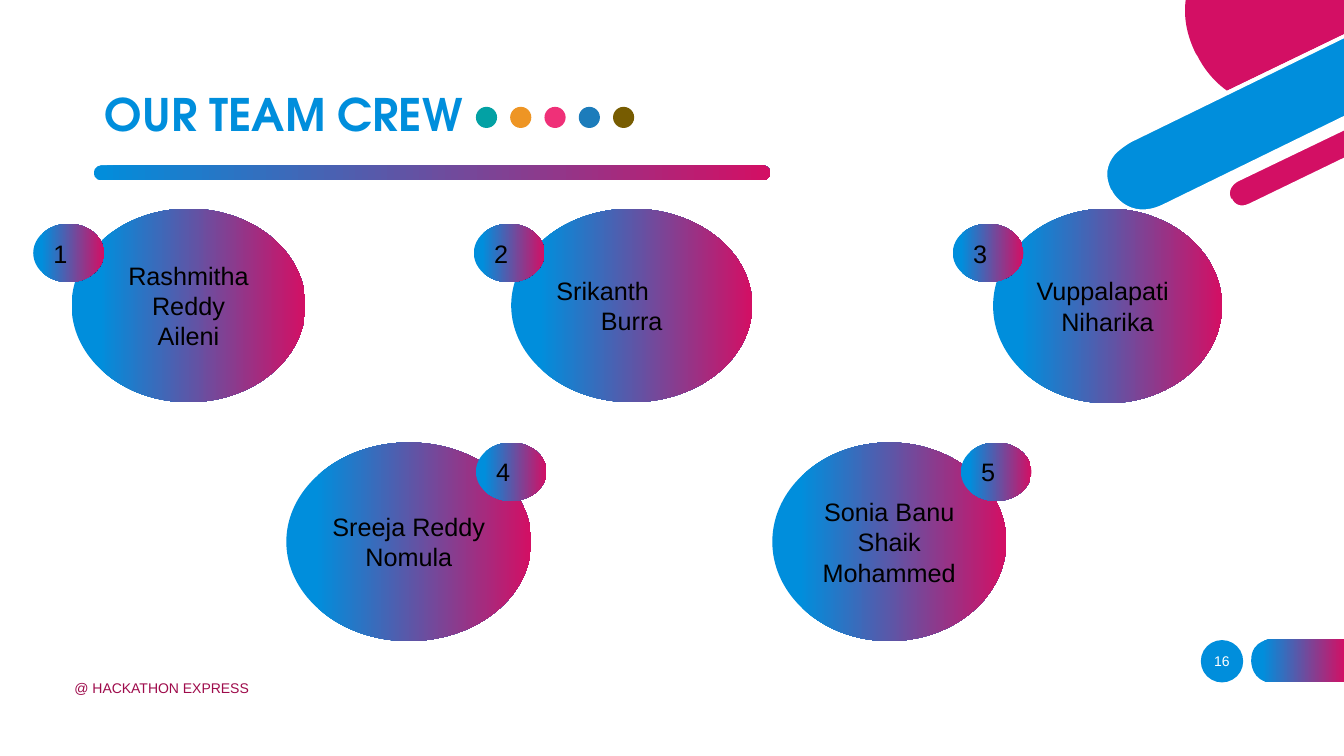
"""Builds the team crew slide with numbered member bubbles."""
from dataclasses import dataclass

from lxml.etree import SubElement
from pptx import Presentation
from pptx.dml.color import RGBColor
from pptx.enum.shapes import MSO_SHAPE as Shape
from pptx.enum.text import MSO_ANCHOR as Anchor, MSO_AUTO_SIZE as AutoSize, PP_ALIGN as Align
from pptx.oxml.ns import qn
from pptx.util import Inches, Pt


@dataclass(frozen=True)
class Theme:
    """Colours, fonts and type sizes."""
    blue: str = "008EDC"
    pink: str = "D30F64"
    wine: str = "9E0B4B"
    white: str = "FFFFFF"
    black: str = "000000"
    dots: tuple = ("03A1A4", "EE9524", "EF3078", "1C7CBB", "775C01")
    title_font: str = "TeX Gyre Adventor"
    body_font: str = "Arial"
    title_size: int = 32
    body_size: int = 18
    small_size: int = 10


THEME = Theme()

TAB = [(12.62, 6.77), (13.34, 6.77), (13.34, 6.34), (12.62, 6.34),
       (12.62, 6.34, 12.41, 6.34, 12.41, 6.55), (12.41, 6.56),
       (12.41, 6.56, 12.41, 6.77, 12.62, 6.77)]
DISC_RIM = [(13.33, 0.81), (13.06, 0.94), (12.74, 1.1, 12.44, 1.08, 12.19, 0.89),
            (11.99, 0.74, 11.89, 0.55, 11.89, 0.55), (11.88, 0.52),
            (11.79, 0.34, 11.75, 0.16, 11.78, 0), (11.74, 0),
            (11.71, 0.17, 11.75, 0.35, 11.84, 0.54), (11.86, 0.57),
            (11.86, 0.58, 11.96, 0.77, 12.16, 0.92),
            (12.28, 1.01, 12.44, 1.09, 12.65, 1.09),
            (12.77, 1.09, 12.91, 1.06, 13.08, 0.98), (13.33, 0.86)]
WIDE_BAR = [(11.21, 1.39), (11.21, 1.39, 10.85, 1.57, 11.01, 1.89), (11.01, 1.9),
            (11.01, 1.9, 11.17, 2.22, 11.54, 2.04), (13.33, 1.17), (13.33, 0.36)]
DISC = [(11.88, 0.56), (11.88, 0.56, 11.97, 0.76, 12.17, 0.9), (13.33, 0.34),
        (13.34, 0), (11.76, 0), (11.74, 0.15, 11.76, 0.33, 11.86, 0.53)]
THIN_BAR = [(13.34, 1.26), (12.27, 1.78), (12.27, 1.78, 12.13, 1.85, 12.2, 1.97),
            (12.2, 1.98), (12.2, 1.98, 12.26, 2.11, 12.4, 2.04), (13.34, 1.58)]
THIN_RIM = [(12.39, 2.02), (12.27, 2.08, 12.22, 1.98, 12.22, 1.97), (12.21, 1.97),
            (12.16, 1.86, 12.28, 1.8, 12.28, 1.8), (13.34, 1.29), (13.34, 1.24),
            (12.26, 1.76), (12.26, 1.76, 12.19, 1.8, 12.17, 1.87),
            (12.15, 1.91, 12.16, 1.95, 12.18, 1.99),
            (12.2, 2.03, 12.25, 2.08, 12.32, 2.08),
            (12.35, 2.08, 12.38, 2.08, 12.41, 2.06), (13.34, 1.61), (13.34, 1.56)]
WIDE_RIM = [(11.53, 2.03), (11.19, 2.19, 11.03, 1.9, 11.03, 1.89), (11.02, 1.88),
            (10.96, 1.75, 10.97, 1.64, 11.06, 1.53),
            (11.13, 1.46, 11.22, 1.41, 11.22, 1.41), (13.33, 0.38), (13.33, 0.34),
            (11.2, 1.37), (11.19, 1.38, 11.02, 1.46, 10.96, 1.63),
            (10.93, 1.71, 10.94, 1.8, 10.99, 1.9), (10.99, 1.91),
            (10.99, 1.91, 11.1, 2.12, 11.33, 2.12),
            (11.39, 2.12, 11.46, 2.1, 11.54, 2.06), (13.33, 1.19), (13.33, 1.15)]
CORNER = [(DISC_RIM, THEME.white), (WIDE_BAR, THEME.blue), (DISC, THEME.pink),
          (THIN_BAR, THEME.pink), (THIN_RIM, THEME.white), (WIDE_RIM, THEME.white)]

LEFT, CENTER = Align.LEFT, Align.CENTER
MEMBERS = [
    ((0.71, 2.07, 2.32, 1.92), ["Rashmitha Reddy", "Aileni"], (CENTER, CENTER), (0.33, 2.22)),
    ((5.07, 2.07, 2.39, 1.92), ["Srikanth", "Burra"], (LEFT, CENTER), (4.7, 2.22)),
    ((9.85, 2.07, 2.27, 1.93), ["Vuppalapati", "Niharika"], (LEFT, CENTER), (9.45, 2.22)),
    ((2.84, 4.39, 2.43, 1.97), ["Sreeja Reddy Nomula"], (CENTER,), (4.72, 4.39)),
    ((7.66, 4.39, 2.32, 1.97), ["Sonia Banu", "Shaik", "Mohammed"], (CENTER,) * 3, (9.53, 4.39)),
]


def write(frame, lines, aligns=(LEFT,), size=THEME.body_size, color=THEME.black,
          font=THEME.body_font, bold=False, spacing=1.0):
    """Fill a text frame with one formatted paragraph per line."""
    frame.word_wrap = True
    frame.auto_size = AutoSize.NONE
    frame.vertical_anchor = Anchor.MIDDLE
    for index, (line, align) in enumerate(zip(lines, aligns)):
        para = frame.add_paragraph() if index else frame.paragraphs[0]
        para.alignment = align
        para.line_spacing = spacing
        span = para.add_run()
        span.text = line
        span.font.name, span.font.size, span.font.bold = font, Pt(size), bold
        span.font.color.rgb = RGBColor.from_string(color)


def bend(shape, outline):
    """Turn the segments that have control points into cubic curves."""
    segments = list(shape._element.iter(qn("a:lnTo")))
    for segment, part in zip(segments, outline[1:]):
        if len(part) == 2:
            continue
        curve = segment.makeelement(qn("a:cubicBezTo"))
        for x, y in zip(part[::2], part[1::2]):
            SubElement(curve, qn("a:pt"), x=str(Inches(x) - shape.left),
                       y=str(Inches(y) - shape.top))
        segment.getparent().replace(segment, curve)


class Page:
    """Holds the theme and the slide being drawn."""

    def __init__(self, deck, theme):
        """Add a title-only slide to the deck."""
        self.theme = theme
        self.slide = deck.slides.add_slide(deck.slide_layouts[5])
        self.shapes = self.slide.shapes

    def paint(self, shape, color=None, start=0.12):
        """Fill a shape with a colour, or with the blue to pink gradient."""
        shape.shadow.inherit = False
        shape.line.fill.background()
        if color:
            shape.fill.solid()
            shape.fill.fore_color.rgb = RGBColor.from_string(color)
            return shape
        shape.fill.gradient()
        shape.fill.gradient_angle = 0
        stops = ((start, self.theme.blue), (1, self.theme.pink))
        for stop, (position, tint) in zip(shape.fill.gradient_stops, stops):
            stop.position = position
            stop.color.rgb = RGBColor.from_string(tint)
        return shape

    def preset(self, kind, place, color=None, start=0.12):
        """Add a painted preset shape."""
        return self.paint(self.shapes.add_shape(kind, *map(Inches, place)), color, start)

    def outline(self, outline, color=None):
        """Add a painted closed outline."""
        points = [tuple(map(Inches, part[-2:])) for part in outline]
        builder = self.shapes.build_freeform(*points[0])
        builder.add_line_segments(points[1:], close=True)
        shape = builder.convert_to_shape()
        bend(shape, outline)
        return self.paint(shape, color)

    def title(self, text, place):
        """Place and format the title."""
        box = self.shapes.title
        box.left, box.top, box.width, box.height = map(Inches, place)
        write(box.text_frame, [text], size=self.theme.title_size, color=self.theme.blue,
              font=self.theme.title_font, bold=True, spacing=0.9)

    def label(self, text, place, **style):
        """Add a small text box."""
        box = self.shapes.add_textbox(*map(Inches, place))
        write(box.text_frame, [text], size=self.theme.small_size, **style)

    def bubble(self, place, lines, aligns=(LEFT,)):
        """Add a gradient ellipse with text."""
        write(self.preset(Shape.OVAL, place).text_frame, lines, aligns)


def main():
    """Draw the slide and save the deck."""
    deck = Presentation()
    deck.slide_width, deck.slide_height = Inches(13.33), Inches(7.5)
    page = Page(deck, THEME)

    page.preset(Shape.OVAL, (11.91, 6.35, 0.42, 0.42), THEME.blue)
    page.outline(TAB)
    for outline, color in CORNER:
        page.outline(outline, color)

    underline = page.preset(Shape.ROUNDED_RECTANGLE, (0.93, 1.64, 6.71, 0.15), start=0)
    underline.adjustments[0] = 0.5
    for index, color in enumerate(THEME.dots):
        page.preset(Shape.OVAL, (4.72 + 0.34 * index, 1.06, 0.21, 0.21), color)

    page.title("OUR TEAM CREW", (0.94, 0.65, 9.9, 1.03))
    page.label("16", (11.82, 6.36, 0.6, 0.4), aligns=(CENTER,), color=THEME.white)
    page.label("@ HACKATHON EXPRESS", (0.64, 6.62, 4.5, 0.4), color=THEME.wine)

    for number, (place, names, aligns, corner) in enumerate(MEMBERS, 1):
        page.bubble(place, names, aligns)
        page.bubble((*corner, 0.7, 0.58), [str(number)])

    deck.save("out.pptx")


if __name__ == "__main__":
    main()
